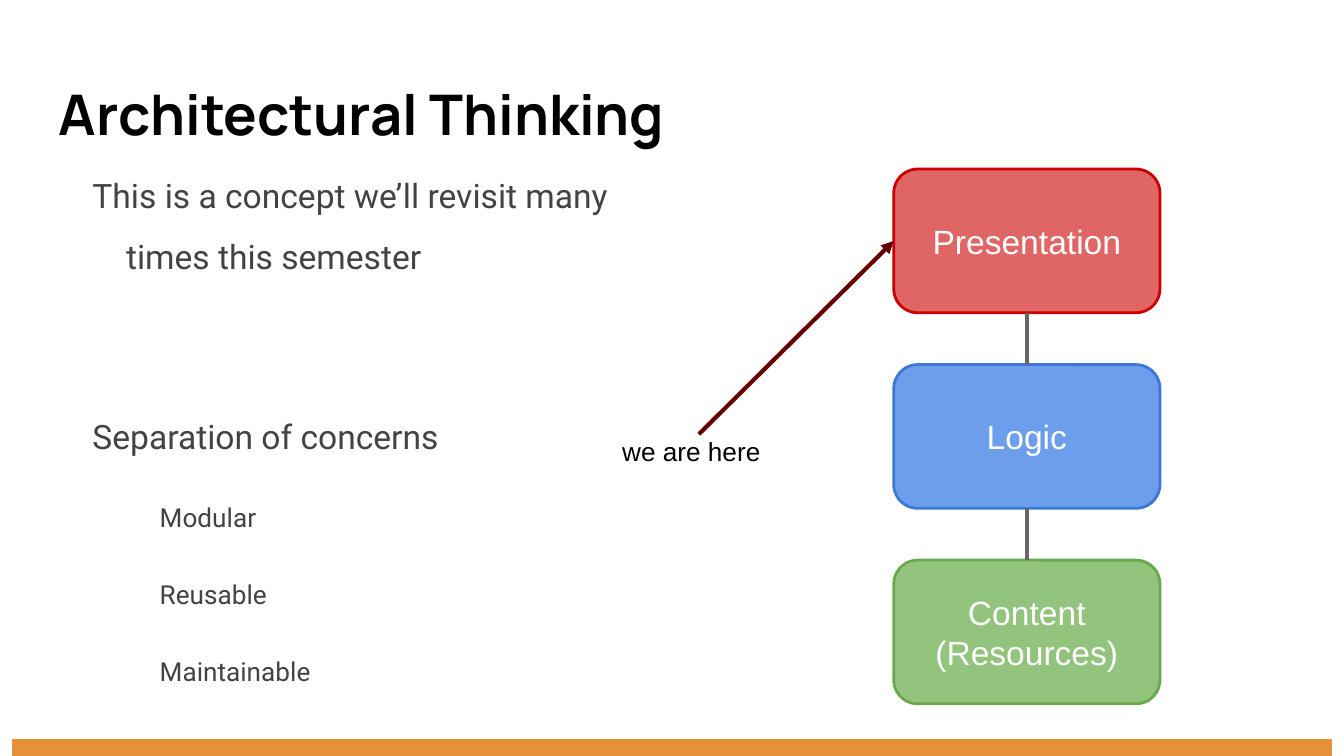
from lxml import etree
from pptx import Presentation
from pptx.dml.color import RGBColor
from pptx.enum.shapes import MSO_CONNECTOR, MSO_SHAPE
from pptx.enum.text import MSO_ANCHOR, PP_ALIGN
from pptx.oxml.ns import qn
from pptx.util import Pt

STRAIGHT = MSO_CONNECTOR.STRAIGHT
RECTANGLE = MSO_SHAPE.RECTANGLE
ROUNDED = MSO_SHAPE.ROUNDED_RECTANGLE
TOP, MIDDLE = MSO_ANCHOR.TOP, MSO_ANCHOR.MIDDLE
LEFT, CENTER = PP_ALIGN.LEFT, PP_ALIGN.CENTER
TOP_SIDE, LEFT_SIDE, BOTTOM_SIDE = 0, 1, 2

LAYER_LEFT, LAYER_TOP = 478.8, 90.6
LAYER_WIDTH, LAYER_HEIGHT, LAYER_PITCH = 142.6, 77, 104.75
LAYERS = [
    ("Presentation", "E06666", "CC0000"),
    ("Logic", "6D9EEB", "3C78D8"),
    ("Content (Resources)", "93C47D", "6AA84F"),
]

# Text, size, left margin, space after
POINTS = [
    ("This is a concept we’ll revisit many times this semester", 18, 36, 64),
    ("Separation of concerns", 18, 36, 16),
    ("Modular", 14, 72, 16),
    ("Reusable", 14, 72, 16),
    ("Maintainable", 14, 72, 16),
]


def color(value):
    return RGBColor.from_string(value)


def set_frame(shape, anchor):
    frame = shape.text_frame
    frame.word_wrap = True
    frame.vertical_anchor = anchor
    frame.margin_left = frame.margin_right = Pt(7.2)
    frame.margin_top = frame.margin_bottom = Pt(7.2)
    return frame


def add_run(paragraph, text, size, font, hex_color, bold=False):
    run = paragraph.add_run()
    run.text = text
    run.font.size = Pt(size)
    run.font.name = font
    run.font.bold = bold
    run.font.color.rgb = color(hex_color)


def add_text_box(slide, left, top, width, height, anchor=TOP):
    box = slide.shapes.add_textbox(Pt(left), Pt(top), Pt(width), Pt(height))
    return set_frame(box, anchor)


def add_box(slide, kind, left, top, width, height, fill):
    shape = slide.shapes.add_shape(kind, Pt(left), Pt(top), Pt(width), Pt(height))
    shape.shadow.inherit = False
    shape.fill.solid()
    shape.fill.fore_color.rgb = color(fill)
    shape.line.fill.background()
    return shape


def add_layer(slide, index, label, fill, outline):
    top = LAYER_TOP + index * LAYER_PITCH
    shape = add_box(slide, ROUNDED, LAYER_LEFT, top, LAYER_WIDTH, LAYER_HEIGHT, fill)
    shape.line.color.rgb = color(outline)
    shape.line.width = Pt(1.5)
    paragraph = set_frame(shape, MIDDLE).paragraphs[0]
    paragraph.alignment = CENTER
    add_run(paragraph, label, 18, "Arial", "FFFFFF")
    return shape


def add_line(slide, hex_color, left=0, top=0):
    line = slide.shapes.add_connector(STRAIGHT, Pt(left), Pt(top), Pt(left), Pt(top))
    line.line.color.rgb = color(hex_color)
    line.line.width = Pt(2.25)
    etree.SubElement(line._element.spPr, qn("a:effectLst"))
    return line


def add_arrowhead(line):
    outline = line.line._get_or_add_ln()
    etree.SubElement(outline, qn("a:tailEnd"), type="triangle")


def add_points(frame):
    for index, (text, size, margin, after) in enumerate(POINTS):
        paragraph = frame.add_paragraph() if index else frame.paragraphs[0]
        paragraph.alignment = LEFT
        paragraph.line_spacing = 1.5
        paragraph.space_after = Pt(after)
        properties = paragraph._p.get_or_add_pPr()
        properties.set("marL", str(Pt(margin)))
        properties.set("indent", str(Pt(-18)))
        add_run(paragraph, text, size, "Roboto", "434343")


def main():
    presentation = Presentation()
    presentation.slide_width, presentation.slide_height = Pt(720), Pt(405)
    slide = presentation.slides.add_slide(presentation.slide_layouts[6])

    # Footer bar
    add_box(slide, RECTANGLE, 6.5, 396, 707, 9.4, "E69138")

    # Title and points
    title = add_text_box(slide, 24.5, 35.3, 671, 49)
    add_run(title.paragraphs[0], "Architectural Thinking", 30, "Manrope", "000000", True)
    add_points(add_text_box(slide, 24.5, 90.7, 335.5, 269.3, MIDDLE))

    # Stack of layers
    layers = [add_layer(slide, index, *layer) for index, layer in enumerate(LAYERS)]
    for upper, lower in zip(layers, layers[1:]):
        link = add_line(slide, "666666")
        link.begin_connect(upper, BOTTOM_SIDE)
        link.end_connect(lower, TOP_SIDE)

    # Marker for the current layer
    arrow = add_line(slide, "660000", 374.4, 232.6)
    arrow.end_connect(layers[0], LEFT_SIDE)
    add_arrowhead(arrow)
    marker = add_text_box(slide, 326.2, 226.1, 92.9, 33.8)
    add_run(marker.paragraphs[0], "we are here", 14, "Arial", "000000")

    presentation.save("out.pptx")


if __name__ == "__main__":
    main()
